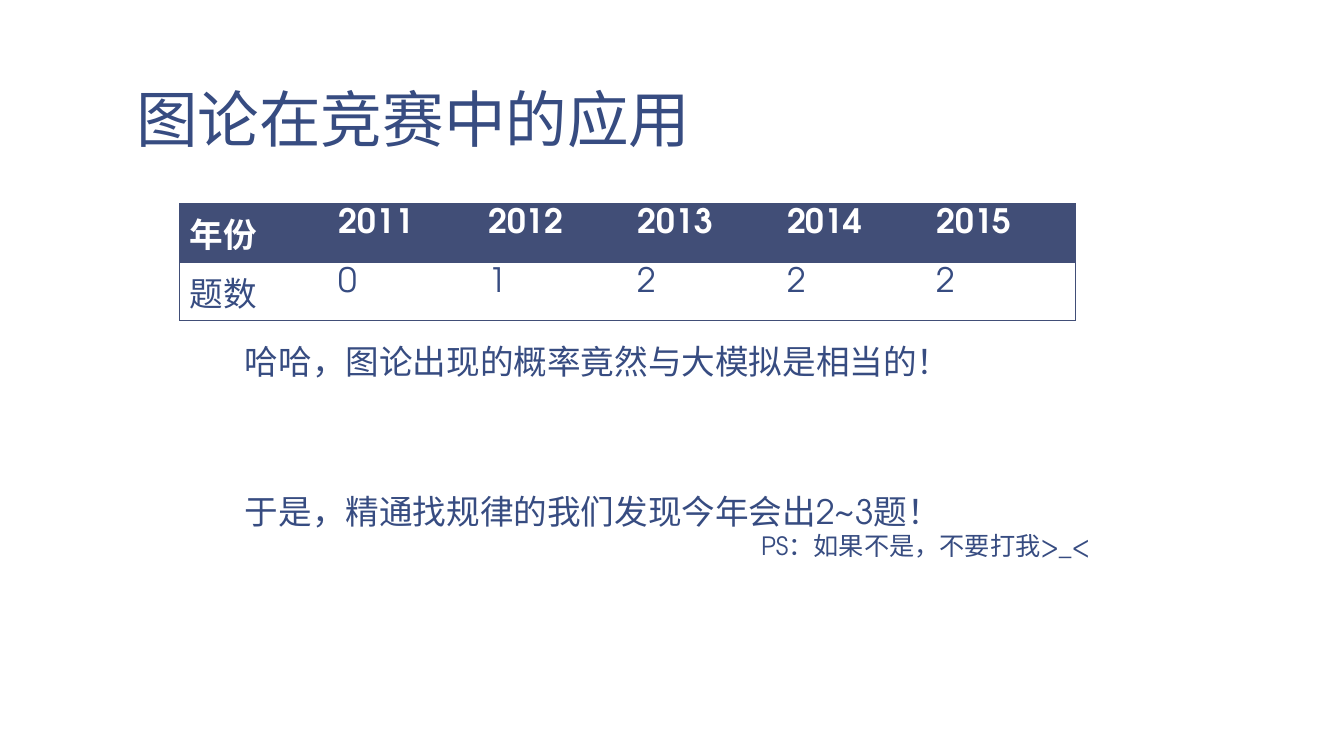
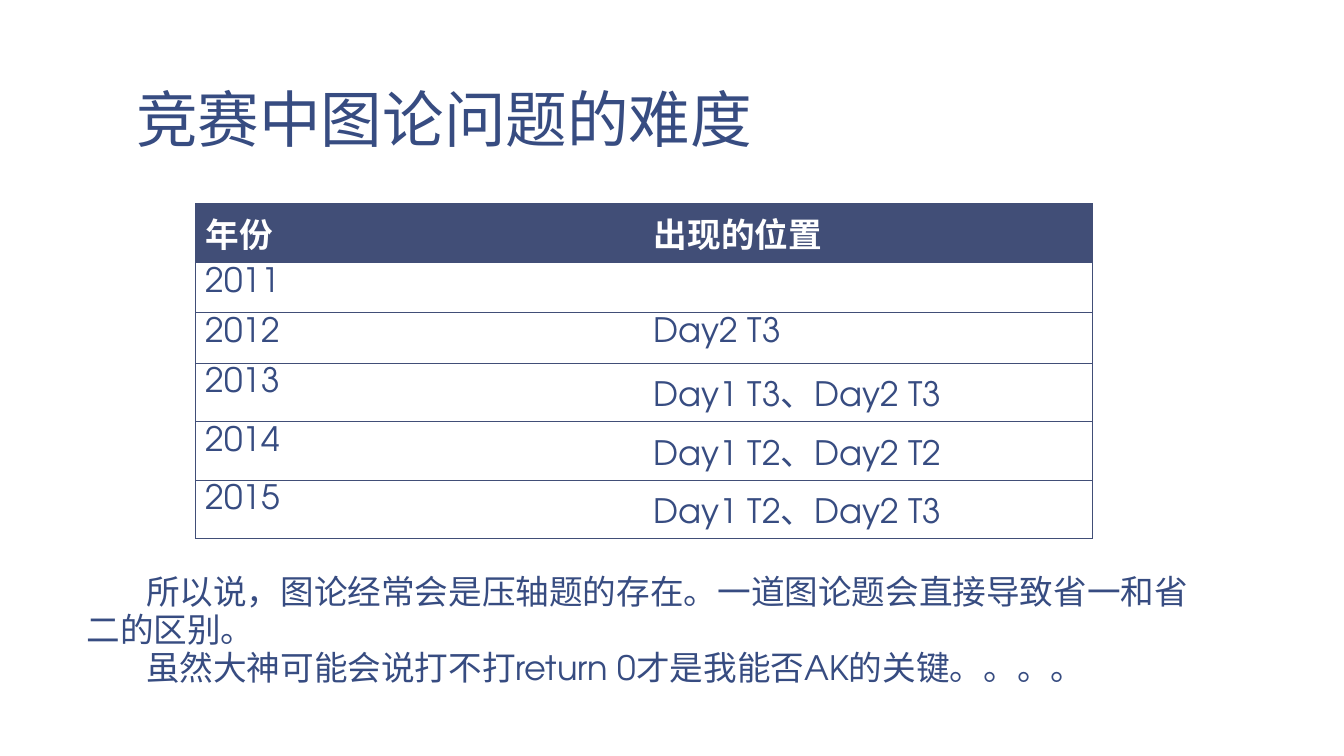
"""Build two slides on graph theory problems in programming contests."""
from dataclasses import dataclass

from lxml import etree
from pptx import Presentation
from pptx.dml.color import RGBColor
from pptx.enum import text
from pptx.oxml import ns
from pptx.util import Inches, Pt


@dataclass(frozen=True)
class Theme:
    """Colours, fonts and type sizes shared by the slides."""
    ink: str = "374C81"
    band: str = "414E77"
    paper: str = "FFFFFF"
    latin: str = "TeX Gyre Adventor"
    cjk: str = "Noto Sans CJK SC"
    title: int = 44
    body: int = 24
    small: int = 18
    rule: float = 0.5


THEME = Theme()
TITLE_BOX = (1.22, 0.08, 11.11, 1.53)
TABLE_TOP, TABLE_WIDTH = 2.02, 8.89
ROW_CJK, ROW_LATIN = 0.58, 0.41

SLIDES = [
    {
        "title": "图论在竞赛中的应用",
        "table_left": 1.78,
        "rows": [
            ["年份", "2011", "2012", "2013", "2014", "2015"],
            ["题数", "0", "1", "2", "2", "2"],
        ],
        "notes": [
            {"box": (2.33, 4.85, 8.82, 0.88), "lines": [
                {"words": "于是，精通找规律的我们发现今年会出2~3题！"},
                {"words": "PS：如果不是，不要打我>_<", "size": THEME.small, "margin": 5.12},
            ]},
            {"box": (2.33, 3.36, 7.17, 0.48), "lines": [
                {"words": "哈哈，图论出现的概率竟然与大模拟是相当的！"},
            ]},
        ],
    },
    {
        "title": "竞赛中图论问题的难度",
        "table_left": 1.94,
        "rows": [
            ["年份", "出现的位置"],
            ["2011", ""],
            ["2012", "Day2 T3"],
            ["2013", "Day1 T3、Day2 T3"],
            ["2014", "Day1 T2、Day2 T2"],
            ["2015", "Day1 T2、Day2 T3"],
        ],
        "notes": [
            {"box": (0.76, 5.64, 11.42, 1.25), "lines": [
                {"words": "所以说，图论经常会是压轴题的存在。一道图论题会直接导致省一和省二的区别。",
                 "indent": 0.59},
                {"words": "虽然大神可能会说打不打return 0才是我能否AK的关键。。。。", "indent": 0.59},
            ]},
        ],
    },
]


def write(p, words, size=THEME.body, colour=THEME.ink, latin=THEME.latin,
          bold=False, spacing=None, margin=0, indent=0):
    p.text = words
    p.line_spacing = spacing
    font = p.font
    font.size, font.bold, font.name = Pt(size), bold, latin
    font.color.rgb = RGBColor.from_string(colour)
    east_asian = etree.Element(ns.qn("a:ea"), typeface=THEME.cjk)
    font._rPr.find(ns.qn("a:latin")).addnext(east_asian)
    pPr = p._p.get_or_add_pPr()
    pPr.set("marL", str(Inches(margin)))
    pPr.set("indent", str(Inches(indent)))


def add_text(s, box):
    sp = s.shapes.add_textbox(*map(Inches, box))
    tf = sp.text_frame
    tf.word_wrap = True
    return tf


def add_title(s, words):
    tf = add_text(s, TITLE_BOX)
    tf.vertical_anchor = text.MSO_ANCHOR.BOTTOM
    tf.margin_left = tf.margin_right = Inches(0.13)
    tf.margin_top = tf.margin_bottom = Inches(0.07)
    write(tf.paragraphs[0], words, THEME.title, latin=THEME.cjk, spacing=0.85)


def add_note(s, box, lines):
    tf = add_text(s, box)
    tf.auto_size = text.MSO_AUTO_SIZE.SHAPE_TO_FIT_TEXT
    for i, line in enumerate(lines):
        p = tf.add_paragraph() if i else tf.paragraphs[0]
        write(p, spacing=0.95, **line)


def set_borders(cell, sides):
    tcPr = cell._tc.get_or_add_tcPr()
    for side in "LRTB":
        ln = etree.SubElement(tcPr, ns.qn(f"a:ln{side}"), w=str(Pt(THEME.rule)))
        if side in sides:
            fill = etree.SubElement(ln, ns.qn("a:solidFill"))
            etree.SubElement(fill, ns.qn("a:srgbClr"), val=THEME.band)
        else:
            etree.SubElement(ln, ns.qn("a:noFill"))


def add_grid(s, left, rows):
    heights = [ROW_LATIN if "".join(row).isascii() else ROW_CJK for row in rows]
    count = len(rows[0])
    frame = s.shapes.add_table(len(rows), count, Inches(left), Inches(TABLE_TOP),
                               Inches(TABLE_WIDTH), Inches(sum(heights)))
    table = frame.table
    for r, row in enumerate(rows):
        table.rows[r].height = Inches(heights[r])
        header = r == 0
        for c, words in enumerate(row):
            cell = table.cell(r, c)
            set_borders(cell, "TB" + "L" * (c == 0) + "R" * (c == count - 1))
            cell.fill.solid()
            cell.fill.fore_color.rgb = RGBColor.from_string(
                THEME.band if header else THEME.paper)
            write(cell.text_frame.paragraphs[0], words, bold=header,
                  colour=THEME.paper if header else THEME.ink)


def main():
    prs = Presentation()
    prs.slide_width, prs.slide_height = Inches(13.33), Inches(7.5)
    background = prs.slide_master.background.fill
    background.solid()
    background.fore_color.rgb = RGBColor.from_string(THEME.paper)
    for content in SLIDES:
        s = prs.slides.add_slide(prs.slide_layouts[6])
        add_title(s, content["title"])
        add_grid(s, content["table_left"], content["rows"])
        for note in content["notes"]:
            add_note(s, **note)
    prs.save("out.pptx")


if __name__ == "__main__":
    main()
